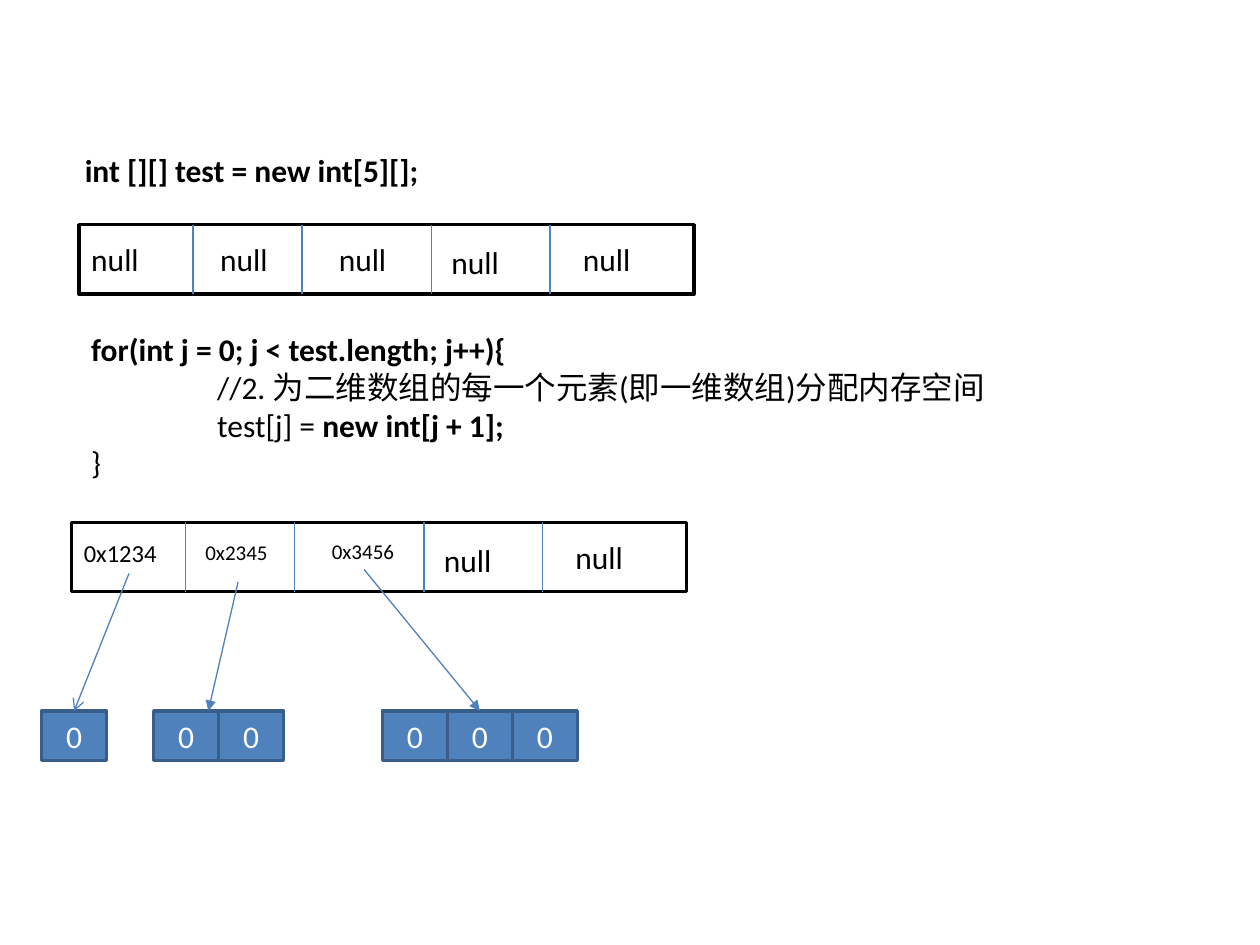
"""Build a slide on how a two-dimensional array is allocated in memory."""
from lxml import etree
from pptx import Presentation
from pptx.dml.color import RGBColor
from pptx.enum import shapes, text
from pptx.oxml import ns
from pptx.util import Cm, Pt

BLACK = RGBColor(0x00, 0x00, 0x00)
WHITE = RGBColor(0xFF, 0xFF, 0xFF)
BLUE = RGBColor(0x4F, 0x81, 0xBD)
DARK_BLUE = RGBColor(0x39, 0x5E, 0x8A)

FONT = "Calibri"
TOP_SIDE = 0
TAB_STOP = 2.54
ROW_WIDTH, ROW_HEIGHT = 12.4, 1.4
DIVIDERS = (2.3, 4.5, 7.11, 9.5)
CELL_WIDTH, CELL_HEIGHT, CELL_TOP = 1.31, 1, 14.33

DECLARATION = [[("int [][] test = new int[5][];", True)]]
LOOP = [
    [("for(int j = 0; j < test.length; j++){", True)],
    [("\t//2. 为二维数组的每一个元素(即一维数组)分配内存空间", False)],
    [("\ttest[j] = ", False), ("new int[j + 1];", True)],
    [("}", False)],
]
EMPTY_LABELS = [
    ("null", 18, 0, 0.19),
    ("null", 18, 2.6, 0.19),
    ("null", 18, 4.99, 0.19),
    ("null", 18, 7.26, 0.25),
    ("null", 18, 9.91, 0.19),
]
ADDRESS_LABELS = [
    ("0x1234", 14, 0, 0.2),
    ("0x2345", 12, 2.45, 0.23),
    ("0x3456", 12, 5, 0.2),
    ("null", 18, 7.26, 0.26),
    ("null", 18, 9.91, 0.2),
]


def style_font(paragraph, size, color):
    """Set the typeface, size and colour of a paragraph."""
    paragraph.font.name = FONT
    paragraph.font.size = Pt(size)
    paragraph.font.color.rgb = color


def set_tab_stop(paragraph, position):
    """Give a paragraph one left tab stop."""
    properties = paragraph._p.get_or_add_pPr()
    stops = etree.SubElement(properties, ns.qn("a:tabLst"))
    etree.SubElement(stops, ns.qn("a:tab"), pos=str(Cm(position)), algn="l")


def add_text(slide, left, top, width, height, lines, size=18, wrap=True):
    """Add a text box whose lines are lists of (words, bold) runs."""
    box = slide.shapes.add_textbox(Cm(left), Cm(top), Cm(width), Cm(height))
    frame = box.text_frame
    frame.word_wrap = wrap
    for index, runs in enumerate(lines):
        paragraph = frame.add_paragraph() if index else frame.paragraphs[0]
        set_tab_stop(paragraph, TAB_STOP)
        style_font(paragraph, size, BLACK)
        for words, bold in runs:
            run = paragraph.add_run()
            run.text = words
            run.font.bold = bold


def add_rectangle(slide, left, top, width, height, line_color):
    """Add a rectangle with a two-point outline and no shadow."""
    rectangle = slide.shapes.add_shape(
        shapes.MSO_SHAPE.RECTANGLE, Cm(left), Cm(top), Cm(width), Cm(height))
    rectangle.shadow.inherit = False
    rectangle.line.color.rgb = line_color
    rectangle.line.width = Pt(2)
    return rectangle


def add_line(slide, start, end, head=None):
    """Add a thin blue line, with an arrowhead at its end if one is named."""
    connector = slide.shapes.add_connector(
        shapes.MSO_CONNECTOR.STRAIGHT, *(Cm(value) for value in start + end))
    connector.line.color.rgb = BLUE
    connector.line.width = Pt(0.75)
    if head:
        outline = connector.line._get_or_add_ln()
        etree.SubElement(outline, ns.qn("a:tailEnd"), type=head)
    etree.SubElement(connector._element.spPr, ns.qn("a:effectLst"))
    return connector


def add_reference_row(slide, left, top, labels):
    """Add the outer array: a frame, its dividers and its labels."""
    frame = add_rectangle(slide, left, top, ROW_WIDTH, ROW_HEIGHT, BLACK)
    frame.fill.background()
    for offset in DIVIDERS:
        x = left + offset
        add_line(slide, (x, top), (x, top + ROW_HEIGHT))
    for words, size, right, down in labels:
        width = 2.3 if size == 14 else 1.8
        add_text(slide, left + right, top + down, width, size * 0.05 + 0.12,
                 [[(words, False)]], size)


def add_inner_array(slide, left, count):
    """Add an inner array of zeros and return its cells."""
    cells = []
    for index in range(count):
        cell = add_rectangle(slide, left + index * CELL_WIDTH, CELL_TOP,
                             CELL_WIDTH, CELL_HEIGHT, DARK_BLUE)
        cell.fill.solid()
        cell.fill.fore_color.rgb = BLUE
        cell.text_frame.vertical_anchor = text.MSO_ANCHOR.MIDDLE
        paragraph = cell.text_frame.paragraphs[0]
        paragraph.text = "0"
        paragraph.alignment = text.PP_ALIGN.CENTER
        style_font(paragraph, 18, WHITE)
        cells.append(cell)
    return cells


def main():
    """Build and save the slide."""
    presentation = Presentation()
    presentation.slide_width, presentation.slide_height = Cm(25.4), Cm(19.05)
    slide = presentation.slides.add_slide(presentation.slide_layouts[6])

    add_text(slide, 1.46, 2.92, 7.26, 1.02, DECLARATION, wrap=False)
    add_reference_row(slide, 1.59, 4.53, EMPTY_LABELS)
    add_text(slide, 1.59, 6.53, 20.12, 3.3, LOOP)
    add_reference_row(slide, 1.44, 10.53, ADDRESS_LABELS)

    single = add_inner_array(slide, 0.84, 1)
    arrow = add_line(slide, (2.6, 11.56), (1.5, CELL_TOP), "arrow")
    arrow.end_connect(single[0], TOP_SIDE)
    add_inner_array(slide, 3.1, 2)
    add_line(slide, (4.8, 11.73), (4.2, CELL_TOP), "triangle")
    triple = add_inner_array(slide, 7.71, 3)
    arrow = add_line(slide, (7.34, 11.48), (9.67, CELL_TOP), "triangle")
    arrow.end_connect(triple[1], TOP_SIDE)

    presentation.save("out.pptx")


if __name__ == "__main__":
    main()
